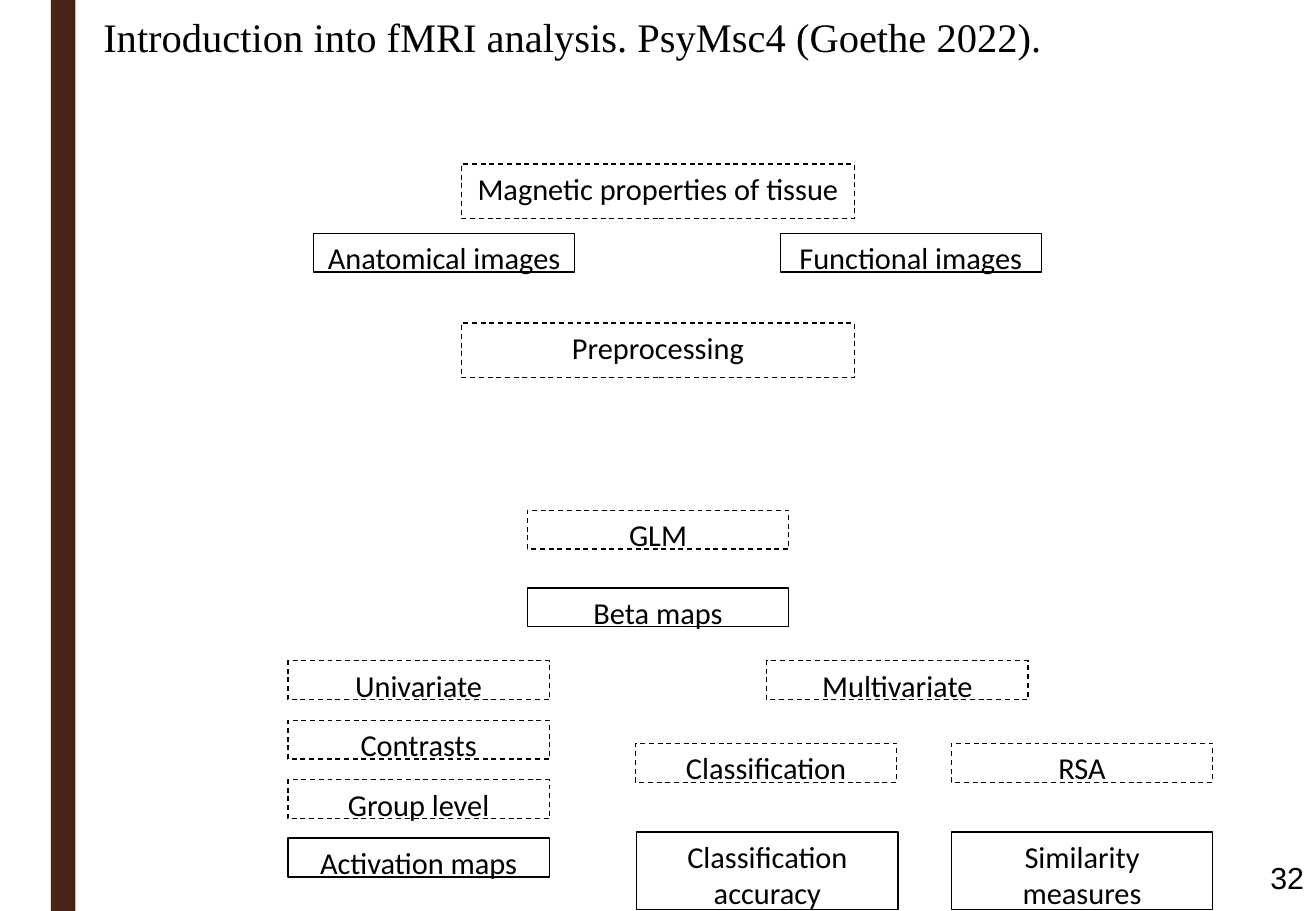
from pptx import Presentation
from pptx import util as u
from pptx.dml.color import RGBColor
from pptx.enum import dml, shapes, text

BLACK = "000000"
BROWN = "4A2318"


def color(hex_value):
    return RGBColor.from_string(hex_value)


def write(box, words, font, size, align, anchor=text.MSO_ANCHOR.TOP):
    """Put one black paragraph into a shape, with standard insets."""
    frame = box.text_frame
    frame_format = {
        "word_wrap": True, "auto_size": text.MSO_AUTO_SIZE.NONE,
        "vertical_anchor": anchor,
        "margin_left": u.Inches(0.1), "margin_right": u.Inches(0.1),
        "margin_top": u.Inches(0.05), "margin_bottom": u.Inches(0.05),
    }
    for name, value in frame_format.items():
        setattr(frame, name, value)
    para = frame.paragraphs[0]
    para.alignment = align
    span = para.add_run()
    span.text = words
    for name, value in {"name": font, "size": u.Pt(size)}.items():
        setattr(span.font, name, value)
    span.font.color.rgb = color(BLACK)


deck = Presentation()
deck.slide_width, deck.slide_height = u.Inches(10.83), u.Inches(7.5)
page = deck.slides.add_slide(deck.slide_layouts[5])

# Side bar
bar = page.shapes.add_shape(shapes.MSO_SHAPE.RECTANGLE, u.Inches(0.42), 0,
                            u.Inches(0.2), deck.slide_height)
bar.shadow.inherit = False
bar.fill.solid()
bar.fill.fore_color.rgb = color(BROWN)
bar.line.fill.background()

# Title and page number
title = page.shapes.title
title_place = {"left": 0.75, "top": 0.05, "width": 8.15, "height": 1.43}
for name, value in title_place.items():
    setattr(title, name, u.Inches(value))
write(title, "Introduction into fMRI analysis. PsyMsc4 (Goethe 2022).",
      "Times New Roman", 24, text.PP_ALIGN.LEFT)

number = page.shapes.add_textbox(u.Inches(8.31), u.Inches(7.16),
                                 u.Inches(2.52), u.Inches(0.26))
write(number, "32", "Arial", 18, text.PP_ALIGN.RIGHT, text.MSO_ANCHOR.BOTTOM)

# Analysis steps: methods are dashed, resulting data are solid
WIDE, SMALL, TALL = (3.23, 0.45), (2.15, 0.32), (2.15, 0.64)
METHOD, DATA = dml.MSO_LINE.DASH, dml.MSO_LINE.SOLID
steps = [
    ("Anatomical images", 2.58, 1.92, SMALL, DATA),
    ("Functional images", 6.42, 1.92, SMALL, DATA),
    ("Magnetic properties of tissue", 3.8, 1.35, WIDE, METHOD),
    ("Preprocessing", 3.8, 2.66, WIDE, METHOD),
    ("GLM", 4.34, 4.2, SMALL, METHOD),
    ("Beta maps", 4.34, 4.84, SMALL, DATA),
    ("Univariate", 2.37, 5.44, SMALL, METHOD),
    ("Contrasts", 2.37, 5.93, SMALL, METHOD),
    ("Group level", 2.37, 6.42, SMALL, METHOD),
    ("Activation maps", 2.37, 6.9, SMALL, DATA),
    ("Multivariate", 6.31, 5.44, SMALL, METHOD),
    ("Classification", 5.23, 6.12, SMALL, METHOD),
    ("RSA", 7.83, 6.12, SMALL, METHOD),
    ("Classification accuracy", 5.24, 6.85, TALL, DATA),
    ("Similarity measures", 7.83, 6.85, TALL, DATA),
]
for words, left, top, (width, height), dash in steps:
    box = page.shapes.add_shape(shapes.MSO_SHAPE.RECTANGLE,
                                u.Inches(left), u.Inches(top),
                                u.Inches(width), u.Inches(height))
    box.shadow.inherit = False
    box.fill.background()
    box.line.color.rgb = color(BLACK)
    box.line.width = u.Pt(0.75)
    box.line.dash_style = dash
    write(box, words, "Calibri", 18, text.PP_ALIGN.CENTER)

deck.save("out.pptx")
